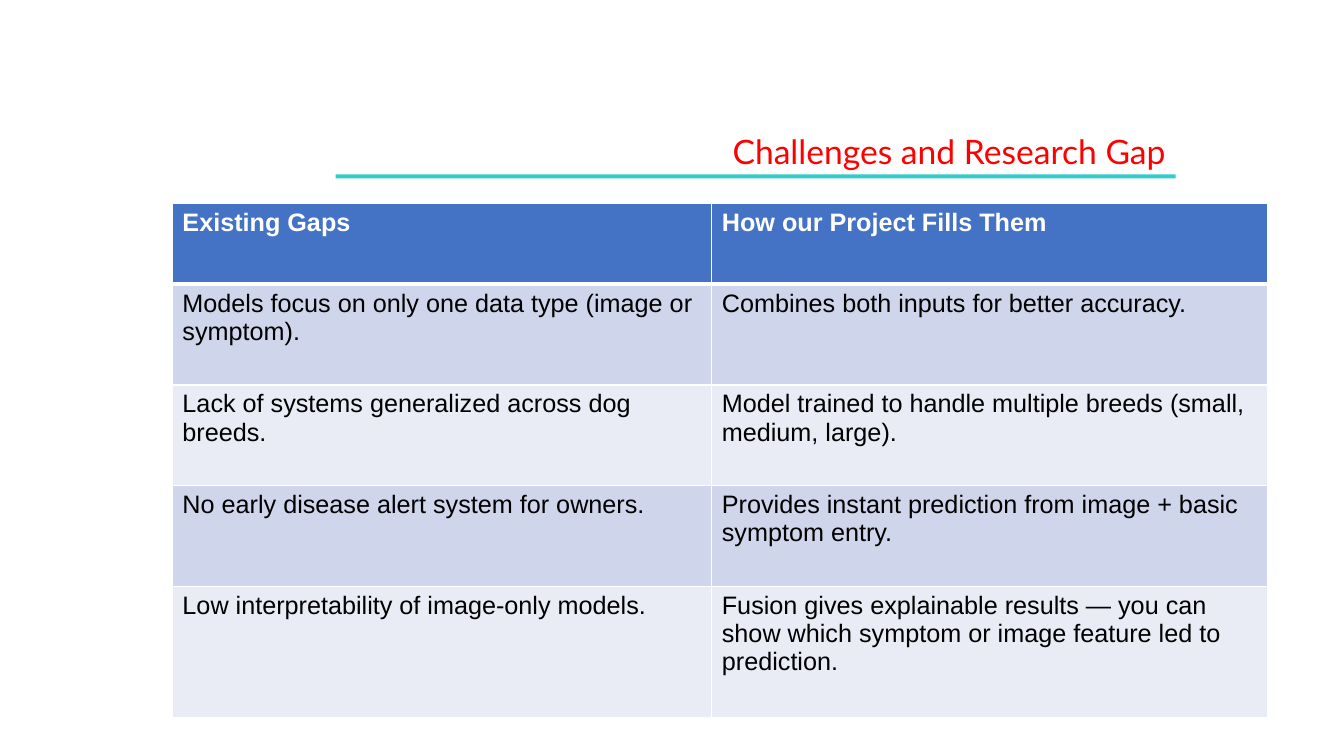
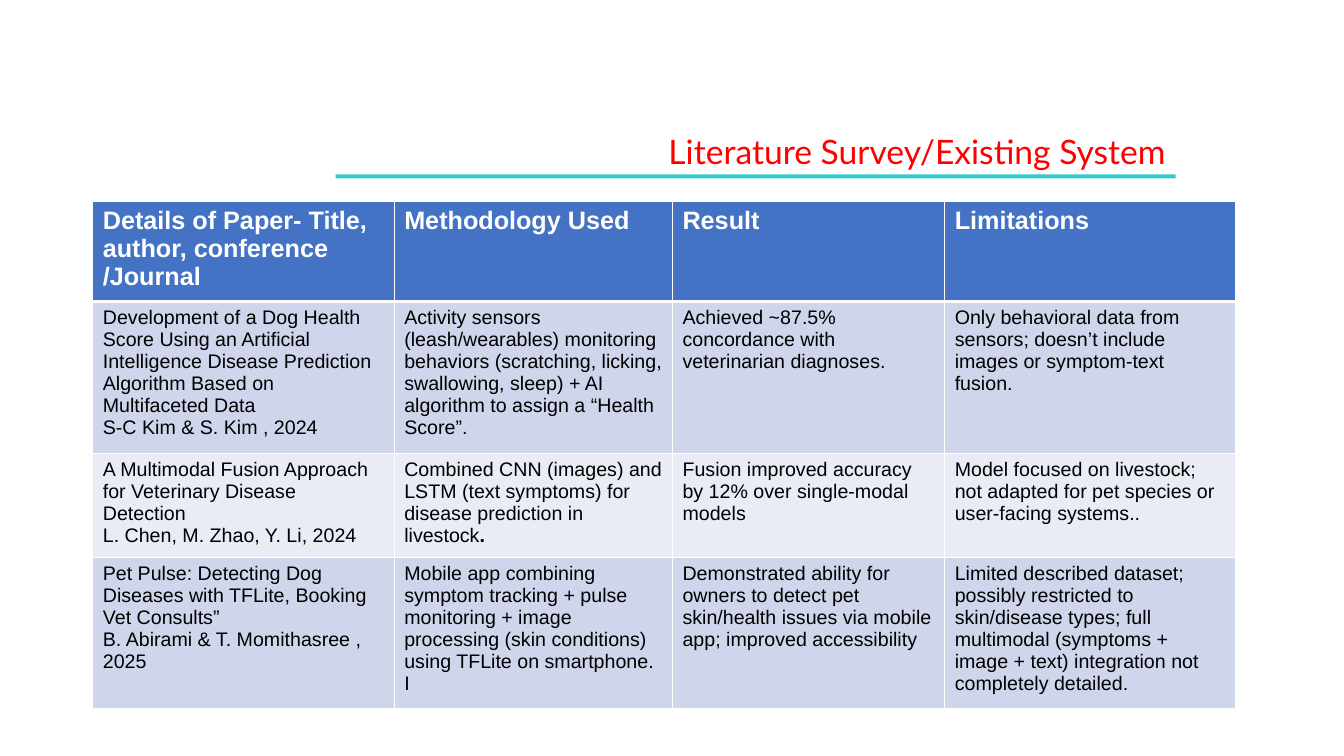
from dataclasses import dataclass

from lxml import etree
from pptx import Presentation
from pptx.dml.color import RGBColor
from pptx.enum.shapes import MSO_SHAPE
from pptx.enum.text import MSO_ANCHOR, MSO_AUTO_SIZE, PP_ALIGN
from pptx.oxml.ns import qn
from pptx.util import Inches, Pt

RECT = MSO_SHAPE.RECTANGLE
TOP = MSO_ANCHOR.TOP
NO_FIT = MSO_AUTO_SIZE.NONE
RIGHT = PP_ALIGN.RIGHT
TITLE_ONLY = 5


@dataclass(frozen=True)
class Theme:
    title_font: str = "Lato"
    body_font: str = "Arial"
    title_size: int = 24
    header_size: int = 18
    title: str = "FF0000"
    rule: str = "33CCCC"
    header: str = "4472C4"
    bands: tuple = ("CFD5EA", "E9EBF5")
    text: str = "000000"
    white: str = "FFFFFF"
    grid_width: int = 1
    header_rule_width: int = 3


theme = Theme()


def style(p, font, size, color, bold=False):
    p.font.name = font
    p.font.size = Pt(size)
    p.font.bold = bold
    p.font.color.rgb = RGBColor.from_string(color)


def add_border(cell, side, width):
    tc_pr = cell._tc.get_or_add_tcPr()
    ln = etree.SubElement(tc_pr, qn(f"a:ln{side}"), w=str(Pt(width)))
    fill = etree.SubElement(ln, qn("a:solidFill"))
    etree.SubElement(fill, qn("a:srgbClr"), val=theme.white)


slides = [
    {
        "title": "Challenges and Research Gap",
        "at": (1.71, 2.02),
        "cols": (5.35, 5.51),
        "heights": (0.8, 1, 1, 1, 1.3),
        "size": 18,
        "rows": [
            ("Existing Gaps", "How our Project Fills Them"),
            ("Models focus on only one data type (image or symptom).",
             "Combines both inputs for better accuracy."),
            ("Lack of systems generalized across dog breeds.",
             "Model trained to handle multiple breeds (small, medium, large)."),
            ("No early disease alert system for owners.",
             "Provides instant prediction from image + basic symptom entry."),
            ("Low interpretability of image-only models.",
             "Fusion gives explainable results — you can show which symptom or "
             "image feature led to prediction."),
        ],
        "bold_ends": {},
    },
    {
        "title": "Literature Survey/Existing System",
        "at": (0.92, 2),
        "cols": (2.99, 2.76, 2.7, 2.89),
        "heights": (0.99, 1.51, 1.03, 1.5),
        "size": 14,
        "rows": [
            ("Details of Paper- Title, author, conference /Journal",
             "Methodology Used", "Result", "Limitations"),
            ("Development of a Dog Health Score Using an Artificial Intelligence "
             "Disease Prediction Algorithm Based on Multifaceted Data\n"
             "S-C Kim & S. Kim , 2024",
             "Activity sensors (leash/wearables) monitoring behaviors (scratching, "
             "licking, swallowing, sleep) + AI algorithm to assign a “Health Score”.",
             "Achieved ~87.5% concordance with veterinarian diagnoses.",
             "Only behavioral data from sensors; doesn’t include images or "
             "symptom-text fusion."),
            ("A Multimodal Fusion Approach for Veterinary Disease Detection\n"
             "L. Chen, M. Zhao, Y. Li, 2024",
             "Combined CNN (images) and LSTM (text symptoms) for disease "
             "prediction in livestock",
             "Fusion improved accuracy by 12% over single-modal models",
             "Model focused on livestock; not adapted for pet species or "
             "user-facing systems.."),
            ("Pet Pulse: Detecting Dog Diseases with TFLite, Booking Vet Consults”\n"
             "B. Abirami & T. Momithasree , 2025",
             "Mobile app combining symptom tracking + pulse monitoring + image "
             "processing (skin conditions) using TFLite on smartphone. I",
             "Demonstrated ability for owners to detect pet skin/health issues via "
             "mobile app; improved accessibility",
             "Limited described dataset; possibly restricted to skin/disease types; "
             "full multimodal (symptoms + image + text) integration not completely "
             "detailed."),
        ],
        "bold_ends": {(2, 1): "."},
    },
]

prs = Presentation()
prs.slide_width = Inches(13.33)
prs.slide_height = Inches(7.5)

for content in slides:
    s = prs.slides.add_slide(prs.slide_layouts[TITLE_ONLY])

    rule = s.shapes.add_shape(RECT, Inches(3.33), Inches(1.73), Inches(8.33), Inches(0.04))
    rule.shadow.inherit = False
    rule.fill.solid()
    rule.fill.fore_color.rgb = RGBColor.from_string(theme.rule)
    rule.line.fill.background()

    title = s.shapes.title
    title.left, title.top = Inches(4.58), Inches(1.25)
    title.width, title.height = Inches(7.08), Inches(0.5)
    tf = title.text_frame
    tf.word_wrap = True
    tf.auto_size = NO_FIT
    tf.vertical_anchor = TOP
    p = tf.paragraphs[0]
    p.text = content["title"]
    p.alignment = RIGHT
    style(p, theme.title_font, theme.title_size, theme.title)

    rows, cols, heights = content["rows"], content["cols"], content["heights"]
    left, top = content["at"]
    table = s.shapes.add_table(
        len(rows), len(cols), Inches(left), Inches(top),
        Inches(sum(cols)), Inches(sum(heights))).table
    for column, width in zip(table.columns, cols):
        column.width = Inches(width)
    for row, height in zip(table.rows, heights):
        row.height = Inches(height)

    for i, texts in enumerate(rows):
        is_header = i == 0
        for j, text in enumerate(texts):
            cell = table.cell(i, j)
            for side in "LRTB":
                at_header_rule = (i, side) in ((0, "B"), (1, "T"))
                add_border(cell, side, theme.header_rule_width if at_header_rule else theme.grid_width)
            cell.fill.solid()
            fill = theme.header if is_header else theme.bands[(i - 1) % 2]
            cell.fill.fore_color.rgb = RGBColor.from_string(fill)
            p = cell.text_frame.paragraphs[0]
            p.text = text
            style(p, theme.body_font,
                  theme.header_size if is_header else content["size"],
                  theme.white if is_header else theme.text, is_header)
            if (i, j) in content["bold_ends"]:
                r = p.add_run()
                r.text = content["bold_ends"][i, j]
                r.font.bold = True

prs.save("out.pptx")
